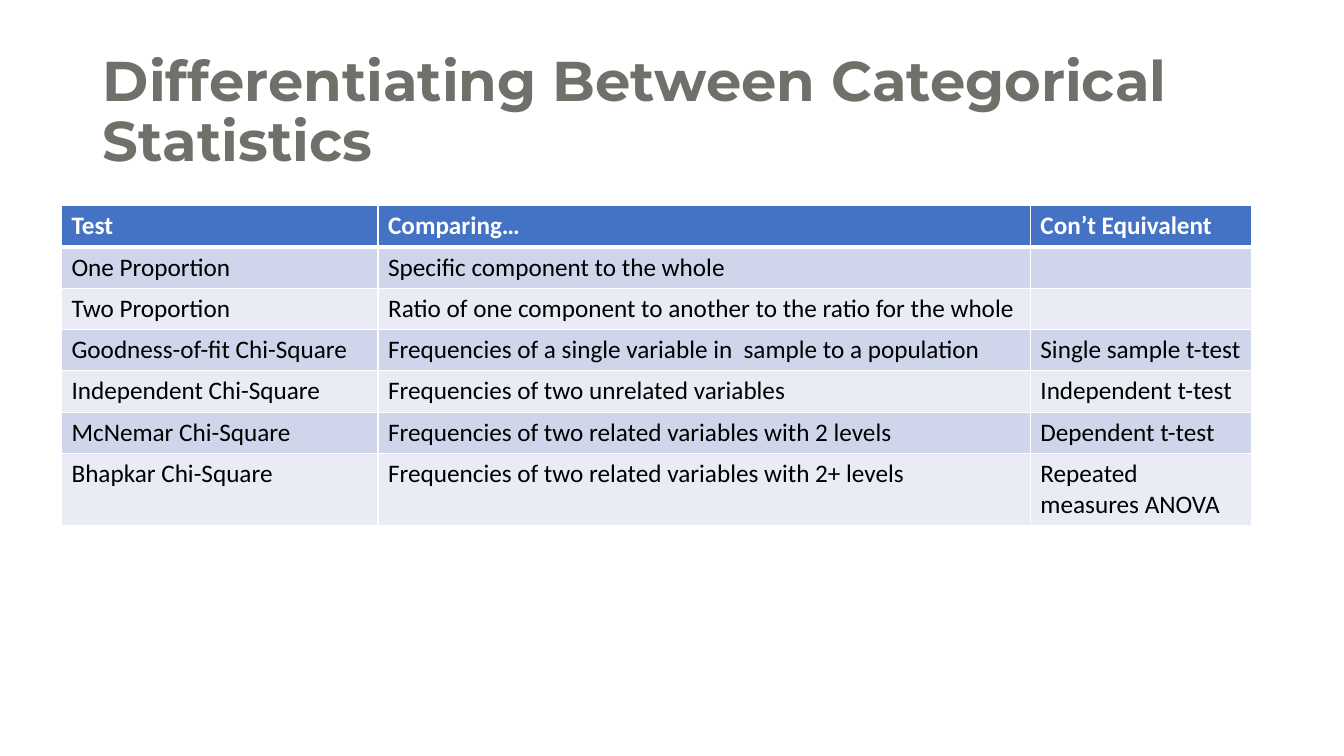
from dataclasses import dataclass
from pptx import Presentation
from pptx.dml.color import RGBColor
from pptx.enum.text import MSO_ANCHOR, PP_ALIGN
from pptx.oxml import parse_xml
from pptx.oxml.ns import nsdecls
from pptx.util import Inches, Pt


@dataclass(frozen=True)
class Theme:
    title: str = "6E706A"
    head: str = "4472C4"
    bands: tuple = ("CFD5EA", "E9EBF5")
    light: str = "FFFFFF"
    dark: str = "000000"
    title_font: str = "Montserrat"
    body_font: str = "Calibri"
    title_size: int = 40
    body_size: int = 18


def style(para, name, size, color, bold):
    font = para.font
    font.name, font.size, font.bold = name, Pt(size), bold
    font.color.rgb = RGBColor.from_string(color)


def edge(cell, side, points):
    """Draw one border of a cell; side is L, R, T or B."""
    cell._tc.get_or_add_tcPr().append(parse_xml(
        f'<a:ln{side} {nsdecls("a")} w="{Pt(points)}"><a:solidFill>'
        f'<a:srgbClr val="{theme.light}"/></a:solidFill></a:ln{side}>'))


theme = Theme()
rows = [
    ("Test", "Comparing…", "Con’t Equivalent"),
    ("One Proportion", "Specific component to the whole", ""),
    ("Two Proportion",
     "Ratio of one component to another to the ratio for the whole", ""),
    ("Goodness-of-fit Chi-Square",
     "Frequencies of a single variable in  sample to a population",
     "Single sample t-test"),
    ("Independent Chi-Square", "Frequencies of two unrelated variables",
     "Independent t-test"),
    ("McNemar Chi-Square",
     "Frequencies of two related variables with 2 levels",
     "Dependent t-test"),
    ("Bhapkar Chi-Square",
     "Frequencies of two related variables with 2+ levels",
     "Repeated measures ANOVA"),
]
widths = [Inches(w) for w in (3.14, 6.47, 2.19)]
height = Inches(0.41)

deck = Presentation()
deck.slide_width, deck.slide_height = Inches(13.33), Inches(7.5)
slide = deck.slides.add_slide(deck.slide_layouts[5])

title = slide.shapes.title
title.left, title.top = Inches(0.92), Inches(0.4)
title.width, title.height = Inches(11.5), Inches(1.45)
frame = title.text_frame
frame.text = "Differentiating Between Categorical Statistics"
frame.word_wrap = True
frame.vertical_anchor = MSO_ANCHOR.MIDDLE
para = frame.paragraphs[0]
para.alignment = PP_ALIGN.LEFT
para.line_spacing = 0.9
style(para, theme.title_font, theme.title_size, theme.title, True)

table = slide.shapes.add_table(
    len(rows), len(widths), Inches(0.61), Inches(2.04),
    sum(widths), height * len(rows)).table
for column, width in zip(table.columns, widths):
    column.width = width

for r, texts in enumerate(rows):
    table.rows[r].height = height
    head = r == 0
    fill = theme.head if head else theme.bands[(r - 1) % 2]
    for c, text in enumerate(texts):
        cell = table.cell(r, c)
        for side in "LRTB":
            thick = (head and side == "B") or (r == 1 and side == "T")
            edge(cell, side, 3 if thick else 1)
        cell.fill.solid()
        cell.fill.fore_color.rgb = RGBColor.from_string(fill)
        cell.text = text
        style(cell.text_frame.paragraphs[0], theme.body_font,
              theme.body_size, theme.light if head else theme.dark, head)

deck.save("out.pptx")
